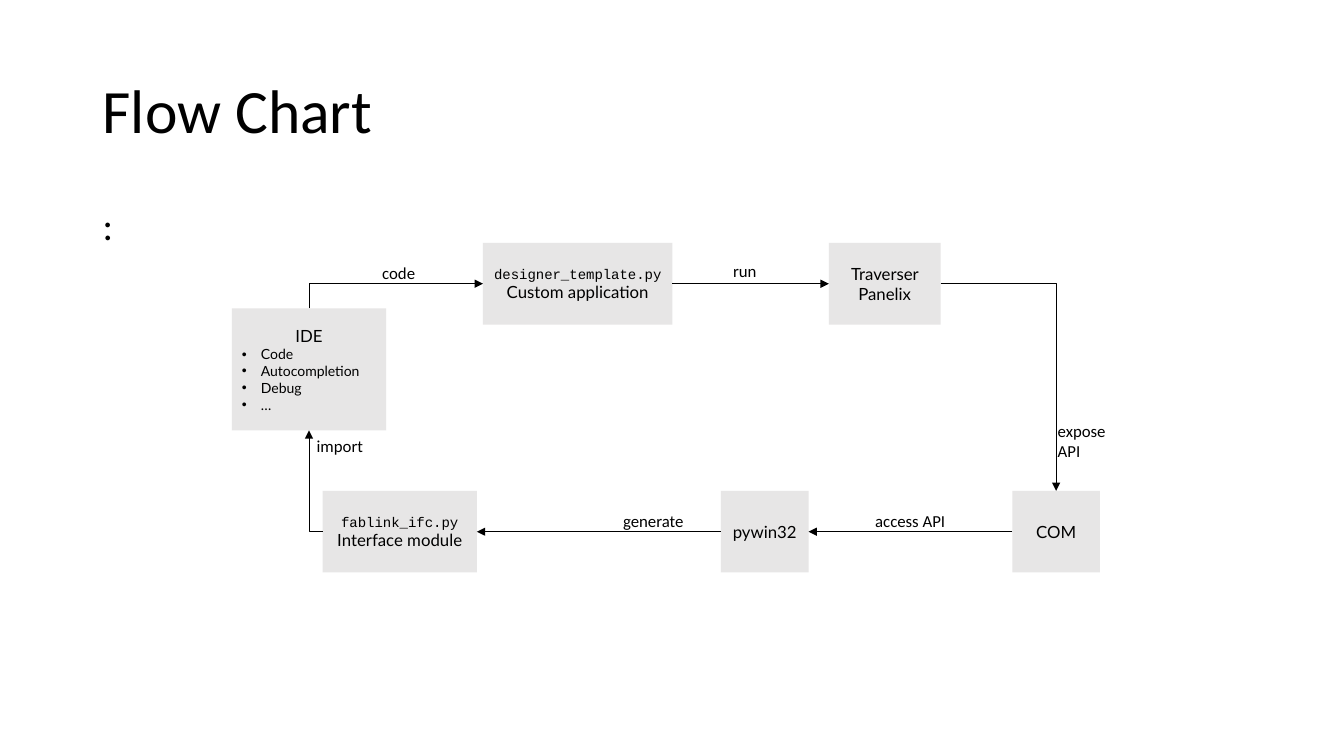
from dataclasses import dataclass

from lxml.etree import SubElement
from pptx import Presentation
from pptx.dml.color import RGBColor
from pptx.enum.shapes import MSO_CONNECTOR as CONNECTOR, MSO_SHAPE as SHAPE
from pptx.enum.text import MSO_ANCHOR as ANCHOR, MSO_AUTO_SIZE as AUTO, PP_ALIGN as ALIGN
from pptx.oxml.ns import qn
from pptx.util import Pt

PX = 9144  # EMU per px, 100 px to the inch
TOP, LEFT, BOTTOM, RIGHT = range(4)  # connection sites of a rectangle


@dataclass(frozen=True)
class Theme:
    ink: RGBColor = RGBColor(0x00, 0x00, 0x00)
    box: RGBColor = RGBColor(0xE7, 0xE6, 0xE6)
    text: str = "Calibri"
    node: str = "Lato"
    code: str = "Courier New"
    title: int = 44
    body: int = 28
    label: int = 12
    small: int = 10
    line: float = 0.5


class FlowSlide:
    def __init__(self, prs, theme):
        self.t = theme
        self.s = prs.slides.add_slide(prs.slide_layouts[6])

    def style(self, p, font, size):
        for r in p.runs:
            r.font.name, r.font.size = font, Pt(size)
            r.font.color.rgb = self.t.ink

    def inset(self, tf, x, y):
        tf.margin_left = tf.margin_right = x * PX
        tf.margin_top = tf.margin_bottom = y * PX

    def text(self, x, y, w, h, text, size, anchor=ANCHOR.TOP):
        tf = self.s.shapes.add_textbox(x * PX, y * PX, w * PX, h * PX).text_frame
        tf.word_wrap, tf.vertical_anchor = True, anchor
        tf.text = text
        for p in tf.paragraphs:
            p.line_spacing = 0.9
            self.style(p, self.t.text, size)

    def label(self, x, y, w, text):
        lines = text.split("\n")
        h = 20 * len(lines)
        tf = self.s.shapes.add_textbox(x * PX, y * PX, w * PX, h * PX).text_frame
        self.inset(tf, 0, 0)
        tf.word_wrap, tf.auto_size = False, AUTO.SHAPE_TO_FIT_TEXT
        tf.text = text
        for p in tf.paragraphs:
            self.style(p, self.t.text, self.t.label)

    def node(self, x, y, w, h, name, file=None, items=()):
        sp = self.s.shapes.add_shape(SHAPE.RECTANGLE, x * PX, y * PX, w * PX, h * PX)
        sp.shadow.inherit = False
        sp.fill.solid()
        sp.fill.fore_color.rgb = self.t.box
        sp.line.fill.background()
        tf = sp.text_frame
        self.inset(tf, 10, 10)
        tf.word_wrap, tf.vertical_anchor = True, ANCHOR.MIDDLE
        tf.text = "\n".join([*([file] if file else []), name, *items])
        for p in tf.paragraphs:
            p.alignment = ALIGN.CENTER
            if p.text == file:
                self.style(p, self.t.code, self.t.small)
            elif p.text in items:
                self.bullet(p)
                self.style(p, self.t.node, self.t.small)
            else:
                self.style(p, self.t.node, self.t.label)
        return sp

    def bullet(self, p):
        p.alignment = ALIGN.LEFT
        pPr = p._p.get_or_add_pPr()
        pPr.set("marL", str(19 * PX))
        pPr.set("indent", str(-19 * PX))
        SubElement(pPr, qn("a:buFont")).set("typeface", "Arial")
        SubElement(pPr, qn("a:buChar")).set("char", "•")

    def arrow(self, start, start_site, end, end_site):
        c = self.s.shapes.add_connector(CONNECTOR.STRAIGHT, 0, 0, 0, 0)
        c.begin_connect(start, start_site)
        c.end_connect(end, end_site)
        c.line.color.rgb, c.line.width = self.t.ink, Pt(self.t.line)
        spPr = c._element.spPr
        SubElement(c.line._get_or_add_ln(), qn("a:tailEnd")).set("type", "triangle")
        SubElement(spPr, qn("a:effectLst"))
        if start_site % 2 != end_site % 2:  # a corner
            spPr.find(qn("a:prstGeom")).set("prst", "bentConnector2")
        if start_site == TOP:  # up first, then right: a quarter turn about the centre
            w, h = c.width, c.height
            c.left, c.top = c.left + (w - h) // 2, c.top + (h - w) // 2
            c.width, c.height = h, w
            xfrm = spPr.find(qn("a:xfrm"))
            for key, value in (("rot", "5400000"), ("flipH", "1"), ("flipV", "1")):
                xfrm.set(key, value)


def main():
    prs = Presentation()
    prs.slide_width, prs.slide_height = 1333 * PX, 750 * PX
    t = Theme()
    s = FlowSlide(prs, t)

    # Title and body
    s.text(92, 40, 1150, 145, "Flow Chart", t.title, ANCHOR.MIDDLE)
    s.text(92, 200, 1150, 476, ":", t.body)

    # Nodes: upper row, lower row, IDE
    upper, lower, h = 241, 487, 81
    app = s.node(479, upper, 188, h, "Custom application", "designer_template.py")
    tool = s.node(822, upper, 111, h, "Traverser Panelix")
    com = s.node(1004, lower, 87, h, "COM")
    pywin = s.node(715, lower, 87, h, "pywin32")
    module = s.node(320, lower, 153, h, "Interface module", "fablink_ifc.py")
    ide = s.node(230, 306, 153, 121, "IDE",
                 items=("Code", "Autocompletion", "Debug", "…"))

    # Arrows round the loop
    for link in (
        (ide, TOP, app, LEFT),
        (app, RIGHT, tool, LEFT),
        (tool, RIGHT, com, TOP),
        (com, LEFT, pywin, RIGHT),
        (pywin, LEFT, module, RIGHT),
        (module, LEFT, ide, BOTTOM),
    ):
        s.arrow(*link)

    # Arrow labels
    for label in (
        (379, 261, 35, "code"),
        (727, 259, 25, "run"),
        (1049, 417, 58, "expose\nAPI"),
        (868, 507, 81, "access API"),
        (618, 507, 66, "generate"),
        (314, 432, 48, "import"),
    ):
        s.label(*label)

    prs.save("out.pptx")


if __name__ == "__main__":
    main()
